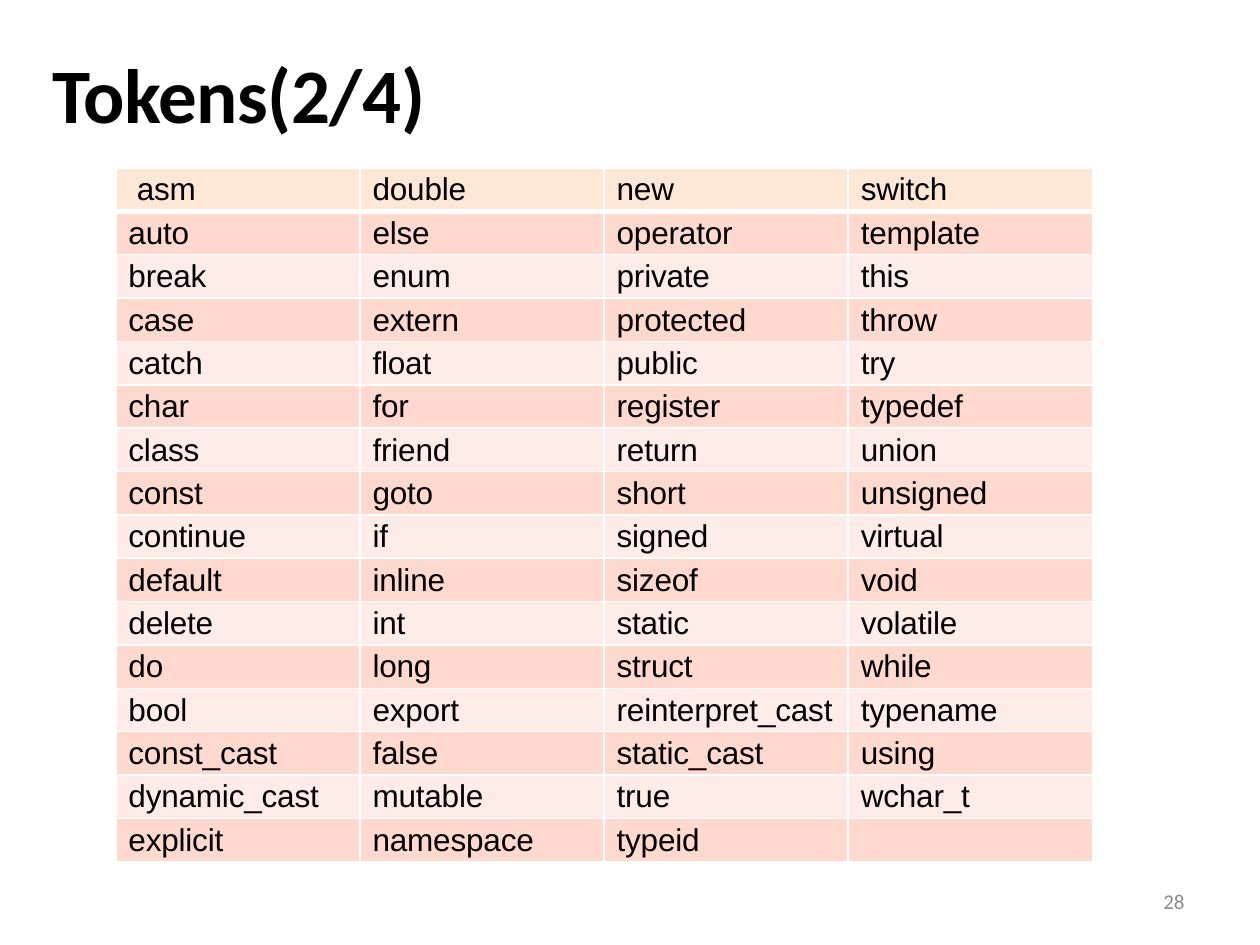
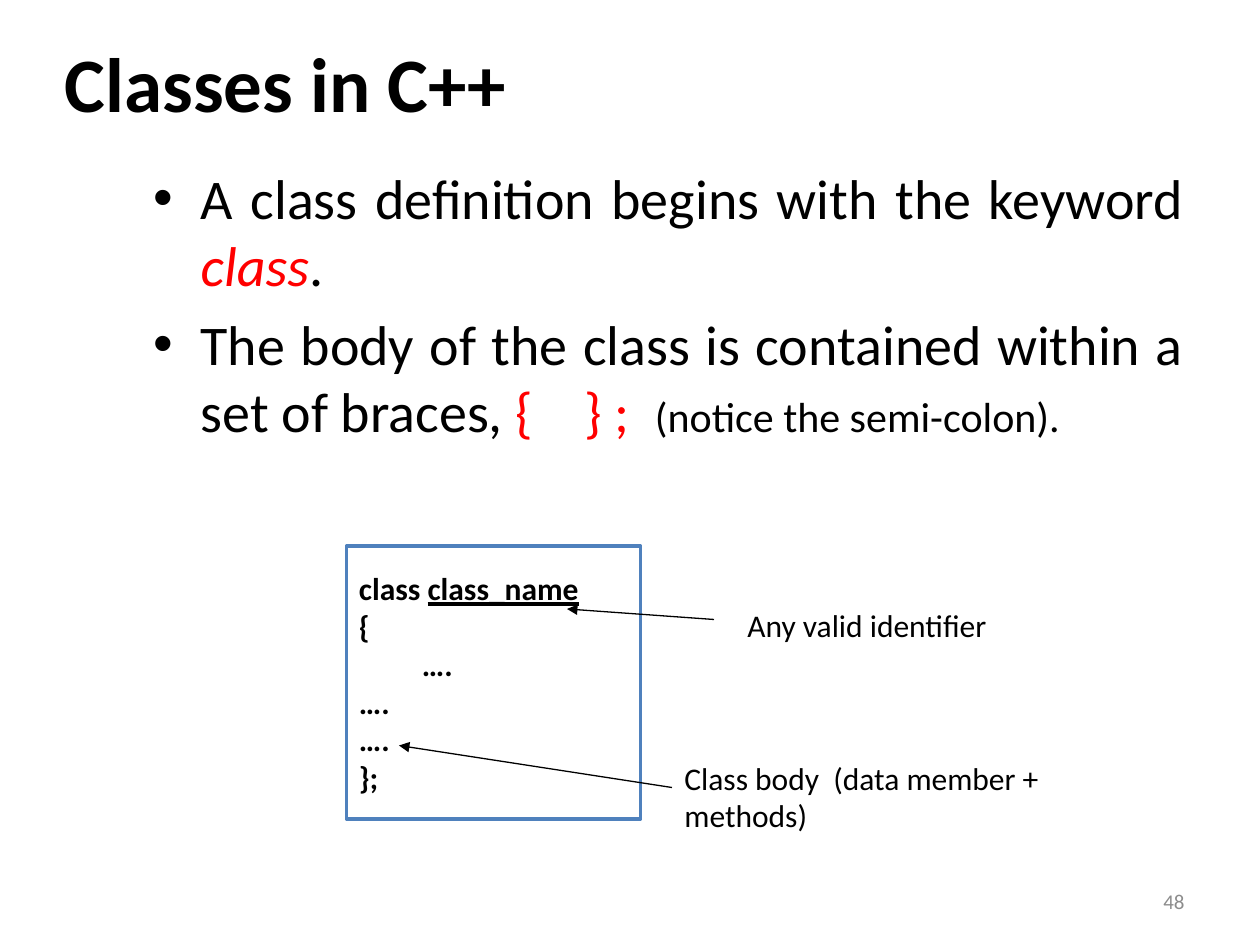
from lxml.etree import SubElement
from pptx import Presentation
from pptx.dml.color import RGBColor
from pptx.enum.shapes import MSO_CONNECTOR, MSO_SHAPE
from pptx.enum.text import MSO_ANCHOR, PP_ALIGN
from pptx.oxml.ns import qn
from pptx.util import Pt

BLACK = RGBColor(0x00, 0x00, 0x00)
WHITE = RGBColor(0xFF, 0xFF, 0xFF)
RED = RGBColor(0xFF, 0x00, 0x00)
GRAY = RGBColor(0x8C, 0x8C, 0x8C)
BLUE = RGBColor(0x4F, 0x81, 0xBD)
HEADER = RGBColor(0xFF, 0xE7, 0xD6)
BAND_DARK = RGBColor(0xFF, 0xD9, 0xCE)
BAND_LIGHT = RGBColor(0xFF, 0xEC, 0xE8)

KEYWORDS = [
    "asm double new switch",
    "auto else operator template",
    "break enum private this",
    "case extern protected throw",
    "catch float public try",
    "char for register typedef",
    "class friend return union",
    "const goto short unsigned",
    "continue if signed virtual",
    "default inline sizeof void",
    "delete int static volatile",
    "do long struct while",
    "bool export reinterpret_cast typename",
    "const_cast false static_cast using",
    "dynamic_cast mutable true wchar_t",
    "explicit namespace typeid",
]


def add_text(p, text, size=18, color=BLACK, font="Calibri", bold=False,
             italic=False, underline=False, spacing=0):
    r = p.add_run()
    r.text = text
    f = r.font
    f.name, f.size, f.bold, f.italic = font, Pt(size), bold, italic
    f.underline = underline
    f.color.rgb = color
    if spacing:
        r._r.get_or_add_rPr().set("spc", str(round(spacing * 100)))


def set_borders(cell, **widths):
    tcPr = cell._tc.get_or_add_tcPr()
    for i, side in enumerate(("L", "R", "T", "B")):
        ln = tcPr.makeelement(qn(f"a:ln{side}"), {"w": str(Pt(widths.get(side, 1)))})
        fill = SubElement(ln, qn("a:solidFill"))
        SubElement(fill, qn("a:srgbClr"), val=str(WHITE))
        tcPr.insert(i, ln)


class Deck:
    def __init__(self):
        self.prs = Presentation()
        self.prs.slide_width, self.prs.slide_height = Pt(720), Pt(540)
        self.s = None

    def slide(self, number):
        self.s = self.prs.slides.add_slide(self.prs.slide_layouts[6])
        self.text(516, 500.4, 168, 28.8, [[(str(number), dict(size=12, color=GRAY))]],
                  anchor=MSO_ANCHOR.MIDDLE, align=PP_ALIGN.RIGHT)

    def fill_frame(self, tf, paragraphs, anchor=MSO_ANCHOR.TOP, align=PP_ALIGN.LEFT,
                   bullet=False, gap=0):
        tf.word_wrap = True
        tf.vertical_anchor = anchor
        for i, runs in enumerate(paragraphs):
            p = tf.add_paragraph() if i else tf.paragraphs[0]
            p.alignment = align
            if i and gap:
                p.space_before = Pt(gap)
            if bullet:
                pPr = p._p.get_or_add_pPr()
                pPr.set("marL", str(Pt(27)))
                pPr.set("indent", str(Pt(-27)))
                SubElement(pPr, qn("a:buFont"), typeface="Arial")
                SubElement(pPr, qn("a:buChar"), char="•")
            for text, fmt in runs:
                add_text(p, text, **fmt)

    def text(self, x, y, w, h, paragraphs, **layout):
        sp = self.s.shapes.add_textbox(Pt(x), Pt(y), Pt(w), Pt(h))
        self.fill_frame(sp.text_frame, paragraphs, **layout)
        return sp

    def title(self, text, x, y, w, h, spacing=0):
        self.text(x, y, w, h, [[(text, dict(size=44, bold=True, spacing=spacing))]],
                  anchor=MSO_ANCHOR.MIDDLE)

    def box(self, x, y, w, h, paragraphs):
        sp = self.s.shapes.add_shape(MSO_SHAPE.RECTANGLE, Pt(x), Pt(y), Pt(w), Pt(h))
        sp.shadow.inherit = False
        sp.fill.solid()
        sp.fill.fore_color.rgb = WHITE
        sp.line.color.rgb = BLUE
        sp.line.width = Pt(2)
        self.fill_frame(sp.text_frame, paragraphs, anchor=MSO_ANCHOR.MIDDLE)

    def arrow(self, x1, y1, x2, y2):
        cn = self.s.shapes.add_connector(MSO_CONNECTOR.STRAIGHT, Pt(x1), Pt(y1), Pt(x2), Pt(y2))
        cn.line.color.rgb = BLACK
        cn.line.width = Pt(0.75)
        SubElement(cn.line._get_or_add_ln(), qn("a:tailEnd"), type="triangle")
        SubElement(cn._element.spPr, qn("a:effectLst"))

    def table(self, x, y, col_width, row_height, rows, columns=4):
        tbl = self.s.shapes.add_table(len(rows), columns, Pt(x), Pt(y), Pt(col_width * columns),
                                      Pt(row_height * len(rows))).table
        tbl.first_row = tbl.horz_banding = False
        for col in tbl.columns:
            col.width = Pt(col_width)
        for i, row in enumerate(rows):
            tbl.rows[i].height = Pt(row_height)
            words = row.split()
            for j in range(columns):
                cell = tbl.cell(i, j)
                cell.margin_left = Pt(12 if i == j == 0 else 7.2)
                cell.margin_top = Pt(2.5)
                cell.margin_right = cell.margin_bottom = 0
                cell.fill.solid()
                cell.fill.fore_color.rgb = (
                    HEADER if i == 0 else BAND_DARK if i % 2 else BAND_LIGHT)
                set_borders(cell, T=3 if i == 1 else 1, B=3 if i == 0 else 1)
                if j < len(words):
                    add_text(cell.text_frame.paragraphs[0], words[j], font="Arial", spacing=-0.1)


def tokens_slide(deck):
    deck.slide(28)
    deck.title("Tokens(2/4)", 23, 25.5, 240, 55, spacing=-0.3)
    deck.table(66.2, 96, 139.5, 24.8, KEYWORDS)


def classes_slide(deck):
    deck.slide(48)
    deck.title("Classes in C++", 30, 21.6, 576, 50.4)
    body, red = dict(size=32), dict(size=32, color=RED)
    deck.text(80.6, 90, 603.4, 384, [
        [("A class definition begins with the keyword ", body),
         ("class", dict(red, italic=True)), (".", body)],
        [("The body of the class is contained within a set of braces, ", body),
         ("{    } ;  ", red), ("(notice the semi-colon).", dict(size=24))],
    ], align=PP_ALIGN.JUSTIFY, bullet=True, gap=6.4)
    code = dict(bold=True)
    deck.box(198, 312, 168, 156, [
        [("class ", code), ("class_name", dict(code, underline=True))],
        *[[(line, code)] for line in ("{", "\t….", "….", "….", "};")],
    ])
    deck.arrow(384, 450, 228, 426)
    deck.text(384, 430, 240, 50.4, [[("Class body  (data member + methods)", {})]])
    deck.arrow(408, 354, 324, 348)
    deck.text(420, 343, 156, 28.8, [[("Any valid identifier", {})]])


def main():
    deck = Deck()
    tokens_slide(deck)
    classes_slide(deck)
    deck.prs.save("out.pptx")


if __name__ == "__main__":
    main()
